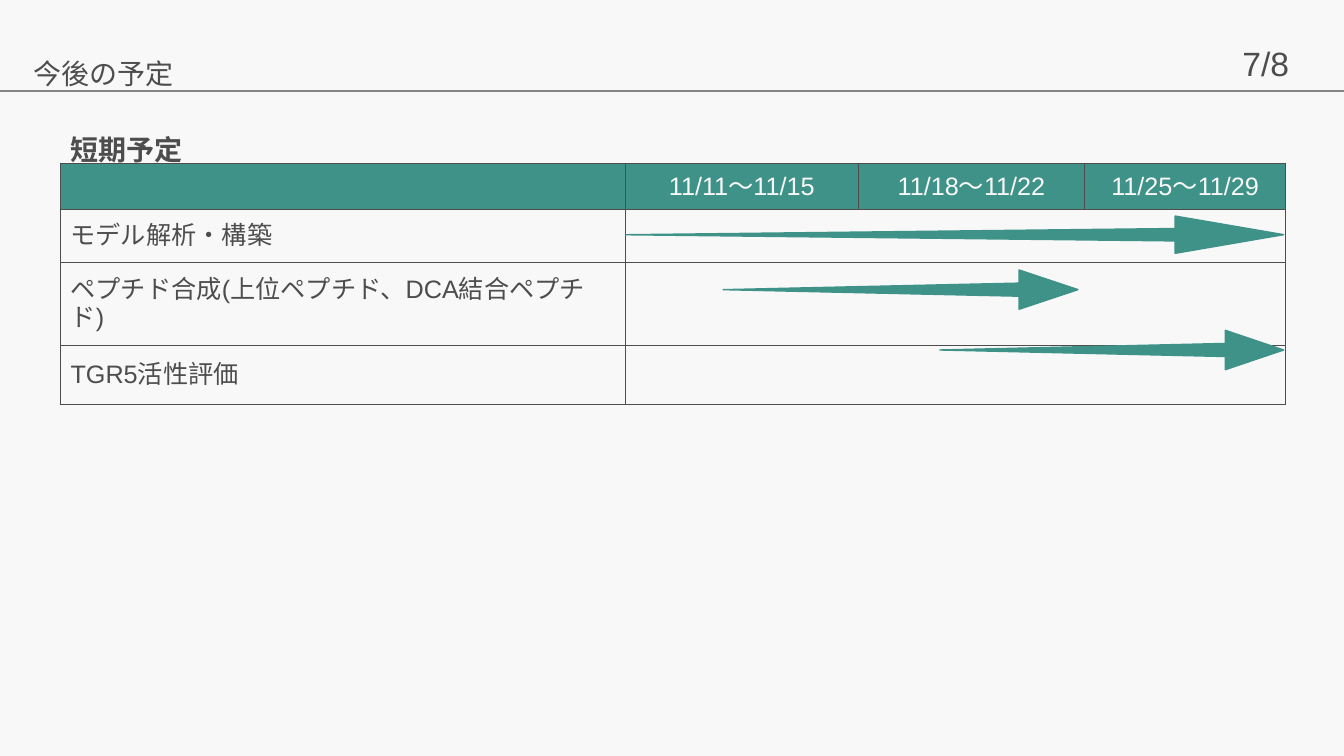
from itertools import accumulate
from lxml.etree import SubElement
from pptx import Presentation
from pptx.dml.color import RGBColor
from pptx.enum.shapes import MSO_CONNECTOR as Link, MSO_SHAPE as Form
from pptx.enum.text import MSO_ANCHOR as Anchor, PP_ALIGN as Align
from pptx.oxml.ns import qn
from pptx.util import Inches, Pt

TEAL = RGBColor(0x3E, 0x92, 0x88)
DARK = RGBColor(0x4D, 0x4D, 0x4D)
GREY = RGBColor(0x85, 0x85, 0x85)
PALE = RGBColor(0xF8, 0xF8, 0xF8)
WIDE, HIGH = Inches(13.33), Inches(7.5)
LEFT, TOP = 4.5, 21.6
COLS = [42.03, 17.33, 16.85, 14.95]
ROWS = [6.08, 7.01, 10.98, 7.8]
WEEKS = ["11/11〜11/15", "11/18〜11/22", "11/25〜11/29"]
TASKS = ["モデル解析・構築", "ペプチド合成(上位ペプチド、DCA結合ペプチド)", "TGR5活性評価"]
SPANS = [(1, 3.45, 3.99, 1.48, 4.93),
         (1.42, 2.71, 2.97, 2.33, 5.2),
         (2.36, 3.7, 3.99, 3.08, 5.2)]


def across(share):
    """Turn a percentage of the slide width into a length."""
    return round(WIDE * share / 100)


def down(share):
    """Turn a percentage of the slide height into a length."""
    return round(HIGH * share / 100)


def locate(start, sizes, place):
    """Give the share at a fractional place in a row of cells."""
    edges = list(accumulate(sizes, initial=start))
    cell = int(place)
    return edges[cell] + (place - cell) * sizes[cell]


def style(para, size, color, bold=False):
    """Format every run of a paragraph."""
    for run in para.runs:
        font = run.font
        font.name, font.size, font.bold = "Arial", Pt(size), bold
        font.color.rgb = color


def label(slide, text, box, size, wrap=True, bold=False):
    """Add a text box placed by shares of the slide."""
    x, y, w, h = box
    frame = slide.shapes.add_textbox(across(x), down(y), across(w), down(h)).text_frame
    frame.text = text
    frame.word_wrap = wrap
    para = frame.paragraphs[0]
    if wrap:
        frame.vertical_anchor = Anchor.MIDDLE
        para.line_spacing = 1.4
    style(para, size, DARK, bold)


def rule(slide, y):
    """Draw a line across the slide."""
    line = slide.shapes.add_connector(Link.STRAIGHT, 0, down(y), WIDE, down(y))
    line.line.color.rgb, line.line.width = GREY, Pt(1)
    SubElement(line._element.spPr, qn("a:effectLst"))


def border(cell, shown):
    """Draw the shown sides of a cell and clear the others."""
    props = cell._tc.get_or_add_tcPr()
    for spot, side in enumerate("LRTB"):
        line = props.makeelement(qn("a:ln" + side), {"w": str(Pt(1))})
        props.insert(spot, line)
        if side in shown:
            fill = SubElement(line, qn("a:solidFill"))
            SubElement(fill, qn("a:srgbClr"), val=str(DARK))
        else:
            SubElement(line, qn("a:noFill"))


def plan(slide):
    """Add the table of tasks and weeks."""
    table = slide.shapes.add_table(
        len(ROWS), len(COLS), across(LEFT), down(TOP),
        across(sum(COLS)), down(sum(ROWS))).table
    for col, share in zip(table.columns, COLS):
        col.width = across(share)
    for row, share in zip(table.rows, ROWS):
        row.height = down(share)
    texts = [["", *WEEKS]] + [[task, "", "", ""] for task in TASKS]
    for r, line in enumerate(texts):
        for c, text in enumerate(line):
            cell = table.cell(r, c)
            cell.text = text
            cell.vertical_anchor = Anchor.MIDDLE
            cell.fill.solid()
            cell.fill.fore_color.rgb = PALE if r else TEAL
            para = cell.text_frame.paragraphs[0]
            para.alignment = Align.LEFT if r else Align.CENTER
            style(para, 18, DARK if r else PALE)
            for run in para.runs:
                SubElement(run.font._element, qn("a:ea"), typeface="Arial")
            left = "L" if r == 0 or c < 2 else ""
            right = "R" if r == 0 or c in (0, 3) else ""
            border(cell, "TB" + left + right)


def wedge(group, start, end, mid, thick, turn):
    """Add a triangle lying on its side between two points."""
    long = end - start
    shape = group.shapes.add_shape(
        Form.ISOSCELES_TRIANGLE, round((start + end - thick) / 2),
        round(mid - long / 2), thick, long)
    shape.rotation = turn
    shape.shadow.inherit = False
    shape.fill.solid()
    shape.fill.fore_color.rgb = TEAL
    shape.line.color.rgb, shape.line.width = TEAL, Pt(1)


def arrow(slide, start, neck, tip, row, thick):
    """Add a tapered arrow over the weeks of one task."""
    group = slide.shapes.add_group_shape()
    tail, base, point = (across(locate(LEFT, COLS, week)) for week in (start, neck, tip))
    mid = down(locate(TOP, ROWS, row))
    wedge(group, base, point, mid, down(thick), 90)
    wedge(group, tail, base, mid, down(thick / 3), 270)


def main():
    """Build the slide and save it."""
    deck = Presentation()
    deck.slide_width, deck.slide_height = WIDE, HIGH
    slide = deck.slides.add_slide(deck.slide_layouts[6])
    back = slide.background.fill
    back.solid()
    back.fore_color.rgb = PALE
    label(slide, "7/8", (91.7, 5.02, 6.68, 6.67), 24, wrap=False)
    rule(slide, 12.05)
    label(slide, "短期予定", (LEFT, 15.47, 91.07, 6.8), 20, bold=True)
    label(slide, "今後の予定", (1.73, 5.47, 94, 6.8), 20)
    plan(slide)
    for span in SPANS:
        arrow(slide, *span)
    deck.save("out.pptx")


if __name__ == "__main__":
    main()
